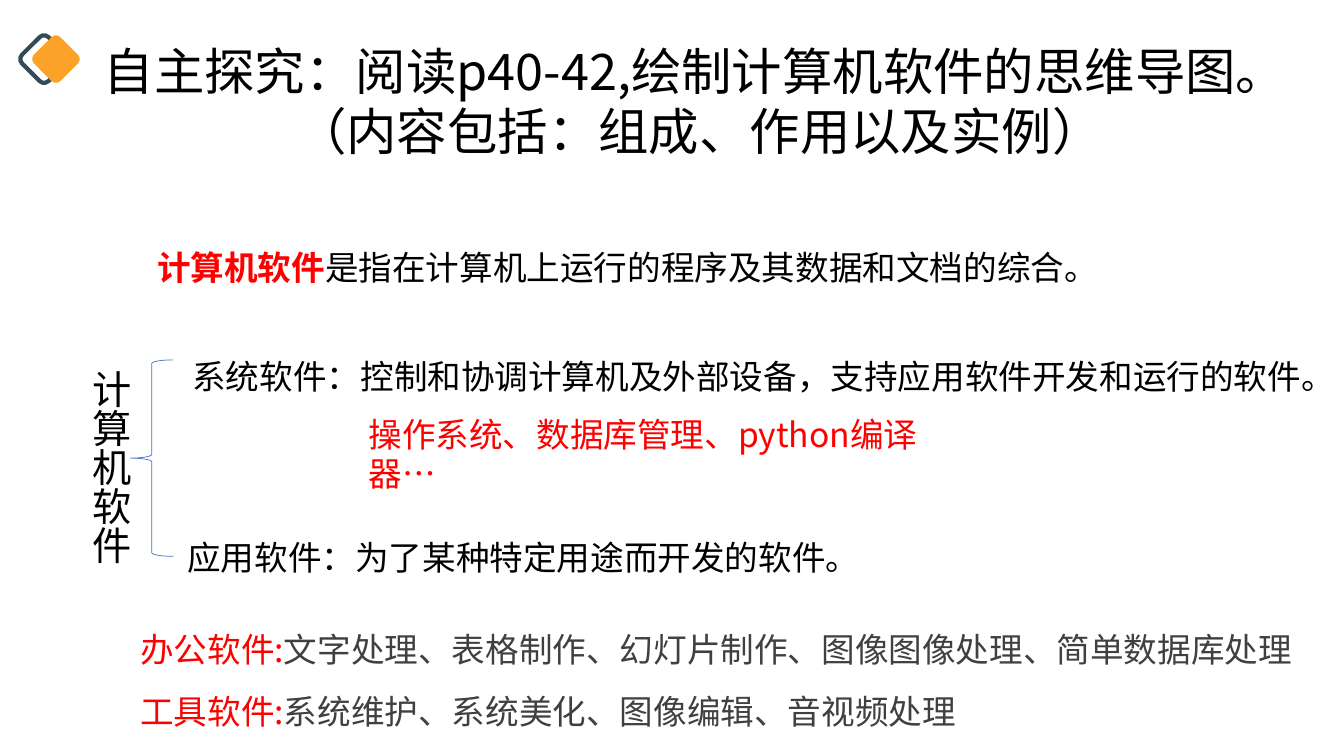
from lxml import etree
from pptx import Presentation, util as u
from pptx.dml.color import RGBColor
from pptx.enum import shapes, text
from pptx.oxml.ns import qn

BLACK = RGBColor(0x00, 0x00, 0x00)
RED = RGBColor(0xFF, 0x00, 0x00)
GREY = RGBColor(0x40, 0x40, 0x40)
SLATE = RGBColor(0x33, 0x4A, 0x57)
ORANGE = RGBColor(0xFC, 0xA2, 0x28)
BLUE = RGBColor(0x44, 0x72, 0xC4)
FONT = "Noto Sans CJK SC"


def place(sp, left, top, width, height, wrap=True):
    sp.left, sp.top, sp.width, sp.height = map(u.Cm, (left, top, width, height))
    tf = sp.text_frame
    tf.word_wrap = wrap
    tf.auto_size = text.MSO_AUTO_SIZE.NONE
    tf.vertical_anchor = text.MSO_ANCHOR.TOP
    return tf


def write(p, runs, size, spacing=None, indent=0, font=FONT):
    pPr = p._p.get_or_add_pPr()
    pPr.set("marL", "0")
    pPr.set("indent", str(int(u.Cm(indent))))
    etree.SubElement(pPr, qn("a:buNone"))
    p.alignment = text.PP_ALIGN.LEFT
    p.space_before = u.Pt(0)
    if spacing:
        p.line_spacing = u.Pt(spacing)
    for words, color, bold in runs:
        r = p.add_run()
        r.text = words
        r.font.size = u.Pt(size)
        r.font.bold = bold
        r.font.name = font
        r.font.color.rgb = color
        etree.SubElement(r._r.get_or_add_rPr(), qn("a:ea")).set("typeface", FONT)


prs = Presentation()
prs.slide_width, prs.slide_height = u.Cm(33.87), u.Cm(19.05)
s = prs.slides.add_slide(prs.slide_layouts[1])

# Title
tf = place(s.shapes.title, 2.36, 0.88, 30.07, 3.33)
write(tf.paragraphs[0], [("自主探究：阅读p40-42,绘制计算机软件的思维导图。", BLACK, False)], 36, 43)
write(tf.add_paragraph(), [("（内容包括：组成、作用以及实例）", BLACK, False)], 36, 43, indent=4.85)

# Diamond ornament
for left, fill, line in ((0.64, None, SLATE), (0.94, ORANGE, None)):
    sp = s.shapes.add_shape(shapes.MSO_SHAPE.ROUNDED_RECTANGLE,
                            u.Cm(left), u.Cm(1.02), u.Cm(0.94), u.Cm(0.94))
    sp.rotation = 45
    sp.shadow.inherit = False
    if fill:
        sp.fill.solid()
        sp.fill.fore_color.rgb = fill
        sp.line.fill.background()
    else:
        sp.fill.background()
        sp.line.color.rgb = line
        sp.line.width = u.Pt(3)

# Definition
tf = place(s.shapes.add_textbox(0, 0, 0, 0), 2.36, 5.56, 29.44, 1.8)
write(tf.paragraphs[0], [("计算机软件", RED, True),
                         ("是指在计算机上运行的程序及其数据和文档的综合。", BLACK, False)],
      24, 44, indent=1.35, font="Arial")

# Root of the mind map, set vertically
tf = place(s.shapes.add_textbox(0, 0, 0, 0), 1.8, 9.07, 1.7, 5.23, wrap=False)
tf._txBody.bodyPr.set("vert", "eaVert")
write(tf.paragraphs[0], [("计算机软件", BLACK, False)], 28)

# Brace
sp = s.shapes.add_shape(shapes.MSO_SHAPE.LEFT_BRACE,
                        u.Cm(3.28), u.Cm(9.07), u.Cm(1.09), u.Cm(4.95))
sp.shadow.inherit = False
sp.fill.background()
sp.line.color.rgb = BLUE
sp.line.width = u.Pt(0.5)

# Branches and examples
for left, top, width, height, wrap, color, words in (
    (4.6, 8.86, 29.59, 1.27, False, BLACK,
     "系统软件：控制和协调计算机及外部设备，支持应用软件开发和运行的软件。"),
    (4.47, 13.43, 17.6, 1.27, False, BLACK, "应用软件：为了某种特定用途而开发的软件。"),
    (9.04, 10.33, 15.65, 2.25, True, RED, "操作系统、数据库管理、python编译器…"),
):
    tf = place(s.shapes.add_textbox(0, 0, 0, 0), left, top, width, height, wrap)
    write(tf.paragraphs[0], [(words, color, False)], 24, 28)

# Kinds of application software
tf = place(s.placeholders[1], 3.28, 15.19, 30.66, 3.18)
for i, (kind, uses) in enumerate((
    ("办公软件:", "文字处理、表格制作、幻灯片制作、图像图像处理、简单数据库处理"),
    ("工具软件:", "系统维护、系统美化、图像编辑、音视频处理"),
)):
    p = tf.add_paragraph() if i else tf.paragraphs[0]
    write(p, [(kind, RED, False), (uses, GREY, False)], 24, 44)

prs.save("out.pptx")
